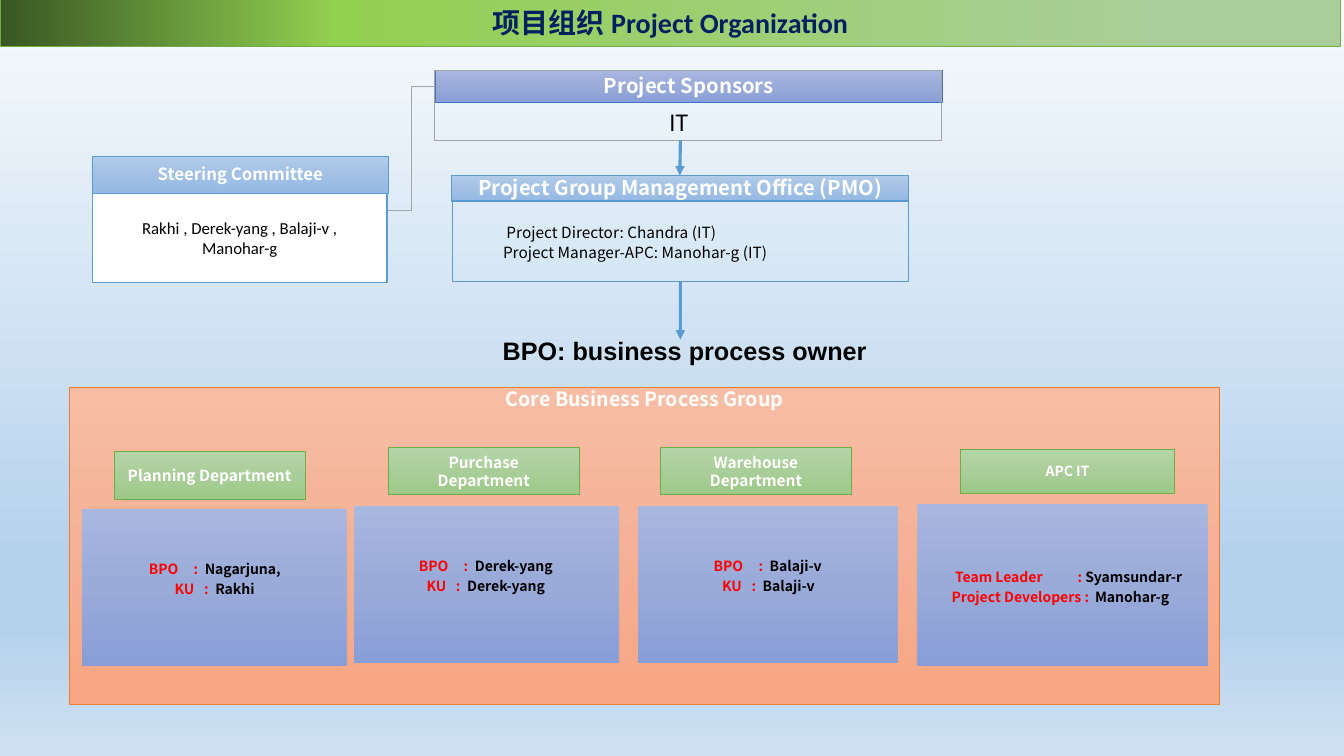
from pptx import Presentation
from pptx.dml.color import RGBColor
from pptx.enum.shapes import MSO_CONNECTOR, MSO_SHAPE
from pptx.enum.text import MSO_ANCHOR, MSO_AUTO_SIZE, PP_ALIGN
from pptx.oxml.ns import qn
from pptx.util import Pt
from lxml.etree import SubElement

NAVY = RGBColor(0x00, 0x20, 0x60)
BLUE = RGBColor(0x5B, 0x9B, 0xD5)
INDIGO = RGBColor(0x44, 0x72, 0xC4)
GREEN = RGBColor(0x70, 0xAD, 0x47)
ORANGE = RGBColor(0xED, 0x7D, 0x31)
GRAY = RGBColor(0xA5, 0xA5, 0xA5)
RED = RGBColor(0xFF, 0x00, 0x00)
WHITE = RGBColor(0xFF, 0xFF, 0xFF)
BLACK = RGBColor(0x00, 0x00, 0x00)

BACKGROUND = ((0, "F7FAFD"), (74, "B5D2EC"), (83, "B5D2EC"), (100, "CEE1F2"))
TITLE_BAR = ((13, "AACE9A"), (75, "92D050"), (100, "385723"))
INDIGO_FADE = ((0, "A8B7DF"), (50, "9AABD9"), (100, "889ED7"))
BLUE_FADE = ((0, "B1CBE9"), (50, "A3C1E5"), (100, "93B9E4"))
ORANGE_FADE = ((0, "F7BDA5"), (50, "F5B196"), (100, "F8A582"))
GREEN_FADE = ((0, "B5D5A7"), (50, "AACE9A"), (100, "9CC987"))

FONT = "Noto Sans CJK SC"


class OrganizationSlide:
    def __init__(self, presentation):
        self.slide = presentation.slides.add_slide(presentation.slide_layouts[5])
        self.fade(self.slide.background.fill, self.slide.element, BACKGROUND)

    def fade(self, fill, element, stops, angle=270):
        fill.gradient()
        fill.gradient_angle = angle
        stop_list = element.find(".//" + qn("a:gsLst"))
        for stop in list(stop_list):
            stop_list.remove(stop)
        for position, color in stops:
            stop = SubElement(stop_list, qn("a:gs"), pos=str(position * 1000))
            SubElement(stop, qn("a:srgbClr"), val=color)

    def outline(self, shape, color, width):
        shape.line.color.rgb = color
        shape.line.width = Pt(width)

    def frame(self, shape, anchor=MSO_ANCHOR.MIDDLE, insets=(0, 0, 0, 0)):
        frame = shape.text_frame
        frame.word_wrap = True
        frame.auto_size = MSO_AUTO_SIZE.NONE
        frame.vertical_anchor = anchor
        frame.margin_left, frame.margin_top, frame.margin_right, frame.margin_bottom = map(Pt, insets)
        return frame

    def style(self, paragraph, size, color, bold=False, font=FONT):
        paragraph.font.name = font
        paragraph.font.size = Pt(size)
        paragraph.font.bold = bold
        paragraph.font.color.rgb = color

    def set_text(self, shape, text, size, color, bold=False, font=FONT, align=PP_ALIGN.CENTER,
                 spacing=None, **layout):
        frame = self.frame(shape, **layout)
        frame.text = text
        for paragraph in frame.paragraphs:
            paragraph.alignment = align
            paragraph.line_spacing = spacing
            self.style(paragraph, size, color, bold, font)

    def title(self, text, box):
        shape = self.slide.shapes.title
        shape.left, shape.top, shape.width, shape.height = map(Pt, box)
        self.fade(shape.fill, shape.element, TITLE_BAR, 180)
        self.outline(shape, GREEN, 0.5)
        self.set_text(shape, text, 20, NAVY, True, "Calibri")

    def box(self, box, stops=None, line=None, width=0.5, solid=None):
        shape = self.slide.shapes.add_shape(MSO_SHAPE.RECTANGLE, *map(Pt, box))
        shape.shadow.inherit = False
        if stops:
            self.fade(shape.fill, shape.element, stops)
        elif solid is not None:
            shape.fill.solid()
            shape.fill.fore_color.rgb = solid
        else:
            shape.fill.background()
        if line is None:
            shape.line.fill.background()
        else:
            self.outline(shape, line, width)
        return shape

    def header(self, text, box, stops, line, size, spacing=0.9, **layout):
        shape = self.box(box, stops, line)
        self.set_text(shape, text, size, WHITE, True, spacing=spacing, **layout)
        return shape

    def label(self, text, box, size, **options):
        shape = self.slide.shapes.add_textbox(*map(Pt, box))
        self.set_text(shape, text, size, BLACK, **options)

    def members(self, box, rows, bottom):
        shape = self.box(box, INDIGO_FADE)
        frame = self.frame(shape, insets=(0, 0, 0, bottom))
        for index, (role, name, stops) in enumerate(rows):
            paragraph = frame.add_paragraph() if index else frame.paragraphs[0]
            paragraph.alignment = PP_ALIGN.LEFT
            paragraph.line_spacing = Pt(14.3)
            tabs = SubElement(paragraph._p.get_or_add_pPr(), qn("a:tabLst"))
            for stop in stops:
                SubElement(tabs, qn("a:tab"), pos=str(Pt(stop)), algn="l")
            self.style(paragraph, 10, RED, True)
            paragraph.add_run().text = f"\t{role}\t:\t"
            person = paragraph.add_run()
            person.text = name
            person.font.color.rgb = BLACK

    def connector(self, kind, start, end, color, width, arrow=False):
        line = self.slide.shapes.add_connector(kind, *map(Pt, start + end))
        self.outline(line, color, width)
        if arrow:
            SubElement(line.element.spPr.find(qn("a:ln")), qn("a:tailEnd"), type="triangle")
        SubElement(line.element.spPr, qn("a:effectLst"))
        return line


def main():
    presentation = Presentation()
    presentation.slide_width = Pt(960)
    presentation.slide_height = Pt(540)
    chart = OrganizationSlide(presentation)

    chart.title("项目组织 Project Organization", (0, -1.4, 957.6, 34.6))

    sponsors = chart.header("Project Sponsors", (311, 50.4, 362, 23), INDIGO_FADE, INDIGO, 14.5)
    office = chart.header("Project Group Management Office (PMO)", (322.6, 125.3, 326, 18.7),
                          BLUE_FADE, BLUE, 14.5)
    office_body = chart.box((323.3, 143.6, 325.4, 57.6), line=BLUE, width=0.75)
    chart.set_text(office_body, "Project Director: Chandra (IT)\nProject Manager-APC: Manohar-g (IT)",
                   11, BLACK, align=PP_ALIGN.LEFT, spacing=Pt(14.3), insets=(36, 0, 4, 0))
    office_body.text_frame.paragraphs[0]._p.get_or_add_pPr().set("marL", str(Pt(2.5)))

    chart.header("Core Business Process Group", (49.7, 276.5, 821.5, 226.8), ORANGE_FADE, ORANGE, 14,
                 anchor=MSO_ANCHOR.TOP, insets=(8, 2, 8, 4))
    chart.label("BPO: business process owner", (352, 236.2, 321, 28.8), 18, bold=True, font="Arial",
                align=PP_ALIGN.LEFT, insets=(7.2, 3.6, 7.2, 3.6), anchor=MSO_ANCHOR.TOP)

    chart.header("Steering Committee", (66.2, 111.6, 211, 26.6), BLUE_FADE, BLUE, 12)
    committee = chart.box((66.2, 138.2, 210.2, 63.4), line=BLUE, width=1, solid=WHITE)
    chart.set_text(committee, "Rakhi , Derek-yang , Balaji-v ,\nManohar-g", 12, BLACK, font="Calibri")

    departments = (
        ("Planning Department", (81.4, 322.6, 136.8, 33.8), (58.3, 363.6, 189.4, 112.3), 48, 66.5,
         "Nagarjuna,", "Rakhi"),
        ("Purchase\vDepartment", (277.2, 319.7, 136.8, 33.8), (252.7, 361.4, 189.4, 112.3), 46.5, 52,
         "Derek-yang", "Derek-yang"),
        ("Warehouse\vDepartment", (471.6, 319.7, 136.8, 33.8), (455.8, 361.4, 185.8, 112.3), 54, 60,
         "Balaji-v", "Balaji-v"),
    )
    for name, name_box, people_box, owner_left, user_left, owner, user in departments:
        chart.header(name, name_box, GREEN_FADE, GREEN, 11, Pt(13))
        chart.members(people_box, (
            ("BPO", owner, (owner_left, owner_left + 32, owner_left + 40)),
            ("KU", user, (user_left, user_left + 21, user_left + 29)),
        ), 14.3)
    chart.header("APC IT", (686.2, 321.1, 152.6, 31.7), GREEN_FADE, GREEN, 10)
    chart.members((655.2, 360, 207.4, 115.9), (
        ("Team Leader", "Syamsundar-r", (27, 114.5, 120)),
        ("Project Developers", "Manohar-g", (24.5, 119.5, 127)),
    ), 0)

    chart.label("IT", (373, 74.9, 224.6, 25.2), 16, insets=(8.6, 4.3, 8.6, 4.3))
    chart.box((310.3, 50.4, 362.2, 49.7), line=GRAY, width=0.75)

    elbow = chart.connector(MSO_CONNECTOR.ELBOW, (277.2, 150.5), (311, 61.9), GRAY, 0.5)
    elbow.end_connect(sponsors, 1)
    sponsor_arrow = chart.connector(MSO_CONNECTOR.STRAIGHT, (486, 100.1), (485.6, 125.3), BLUE, 2.25, True)
    sponsor_arrow.end_connect(office, 0)
    office_arrow = chart.connector(MSO_CONNECTOR.STRAIGHT, (486, 201.2), (486, 242.6), BLUE, 2.25, True)
    office_arrow.begin_connect(office_body, 2)

    presentation.save("out.pptx")


if __name__ == "__main__":
    main()
